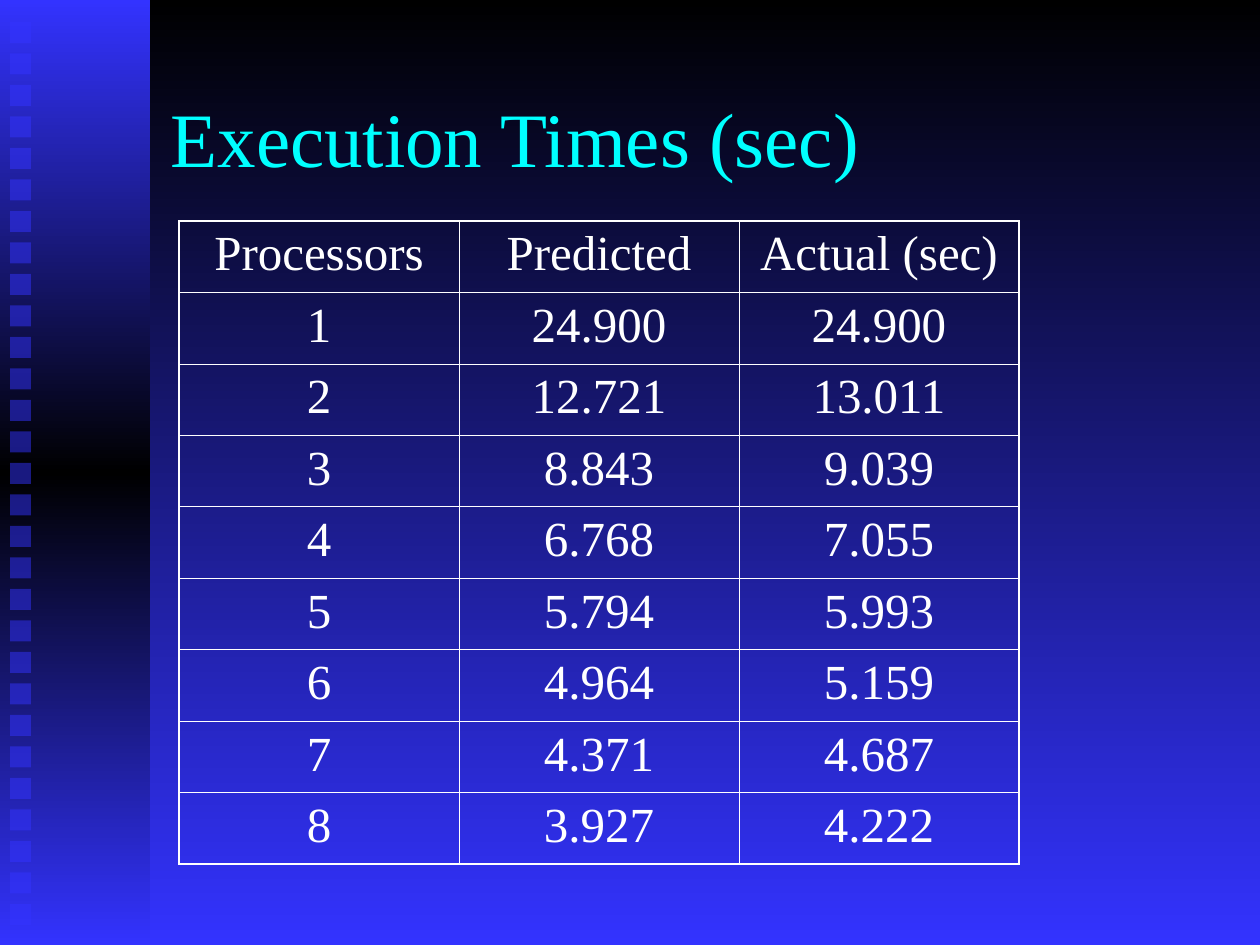
from copy import deepcopy

from lxml import etree
from pptx import Presentation
from pptx.dml.color import RGBColor
from pptx.enum.shapes import MSO_SHAPE
from pptx.enum.text import MSO_ANCHOR, PP_ALIGN
from pptx.oxml.ns import qn
from pptx.util import Emu, Pt

FONT = "Times New Roman"
BLUE, BLACK, WHITE, CYAN = "3333FF", "000000", "FFFFFF", "00FFFF"
EMU_PER_PX = 914400 / 126


def px(n):
    return Emu(round(n * EMU_PER_PX))


def rgb(value):
    return RGBColor.from_string(value)


prs = Presentation()
prs.slide_width, prs.slide_height = px(1260), px(945)
s = prs.slides.add_slide(prs.slide_layouts[5])

# Background and side panel, both with vertical gradients
panel = s.shapes.add_shape(MSO_SHAPE.RECTANGLE, 0, 0, px(150), px(945))
panel.shadow.inherit = False
panel.line.fill.background()
for fill, colors in ((s.background.fill, (BLACK, BLUE)),
                     (panel.fill, (BLUE, BLACK, BLUE))):
    fill.gradient()
    fill.gradient_angle = 270
    if len(colors) == 3:
        first = panel._element.spPr.find(".//" + qn("a:gs"))
        first.addnext(deepcopy(first))
    for i, (stop, color) in enumerate(zip(fill.gradient_stops, colors)):
        stop.position = i / (len(colors) - 1)
        stop.color.rgb = rgb(color)

# Column of half-transparent squares, four to the inch
for i in range(29):
    sp = s.shapes.add_shape(MSO_SHAPE.RECTANGLE, px(10), px(22 + 63 * i / 2), px(21), px(21))
    sp.shadow.inherit = False
    sp.line.fill.background()
    sp.fill.solid()
    sp.fill.fore_color.rgb = rgb(BLUE)
    color = sp._element.spPr.find(".//" + qn("a:srgbClr"))
    etree.SubElement(color, qn("a:alpha"), val="50000")

# Title
title = s.shapes.title
title.left, title.top, title.width, title.height = px(158), px(32), px(1071), px(210)
tf = title.text_frame
tf.word_wrap = True
tf.vertical_anchor = MSO_ANCHOR.MIDDLE
p = tf.paragraphs[0]
p.alignment = PP_ALIGN.LEFT
r = p.add_run()
r.text = "Execution Times (sec)"
r.font.name, r.font.size = FONT, Pt(44)
r.font.color.rgb = rgb(CYAN)

# Table of execution times
rows = [
    ("Processors", "Predicted", "Actual (sec)"),
    ("1", "24.900", "24.900"),
    ("2", "12.721", "13.011"),
    ("3", "8.843", "9.039"),
    ("4", "6.768", "7.055"),
    ("5", "5.794", "5.993"),
    ("6", "4.964", "5.159"),
    ("7", "4.371", "4.687"),
    ("8", "3.927", "4.222"),
]
last_row, last_col = len(rows) - 1, len(rows[0]) - 1
table = s.shapes.add_table(len(rows), len(rows[0]), px(179), px(221), px(840), px(643)).table
table.first_row = table.horz_banding = False

for i, row in enumerate(rows):
    for j, text in enumerate(row):
        cell = table.cell(i, j)
        p = cell.text_frame.paragraphs[0]
        p.alignment = PP_ALIGN.CENTER
        r = p.add_run()
        r.text = text
        r.font.name, r.font.size = FONT, Pt(28)
        r.font.color.rgb = rgb(WHITE)

        # Thicker border on the outer edges
        tcPr = cell._tc.get_or_add_tcPr()
        edges = {"L": j == 0, "R": j == last_col, "T": i == 0, "B": i == last_row}
        for side, outer in edges.items():
            width = Pt(1.08 if outer else 0.45)
            ln = etree.SubElement(tcPr, qn("a:ln" + side), w=str(width))
            solid = etree.SubElement(ln, qn("a:solidFill"))
            etree.SubElement(solid, qn("a:srgbClr"), val=WHITE)
        cell.fill.background()

prs.save("out.pptx")
